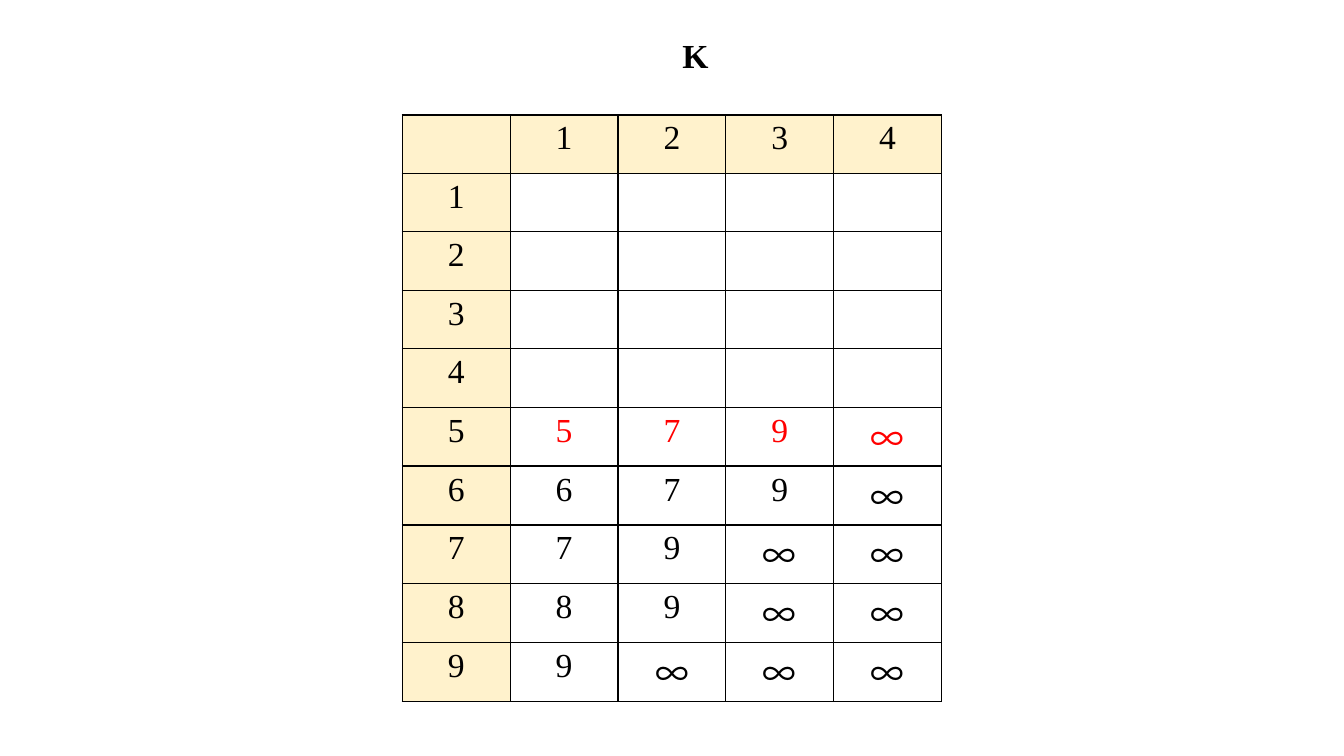
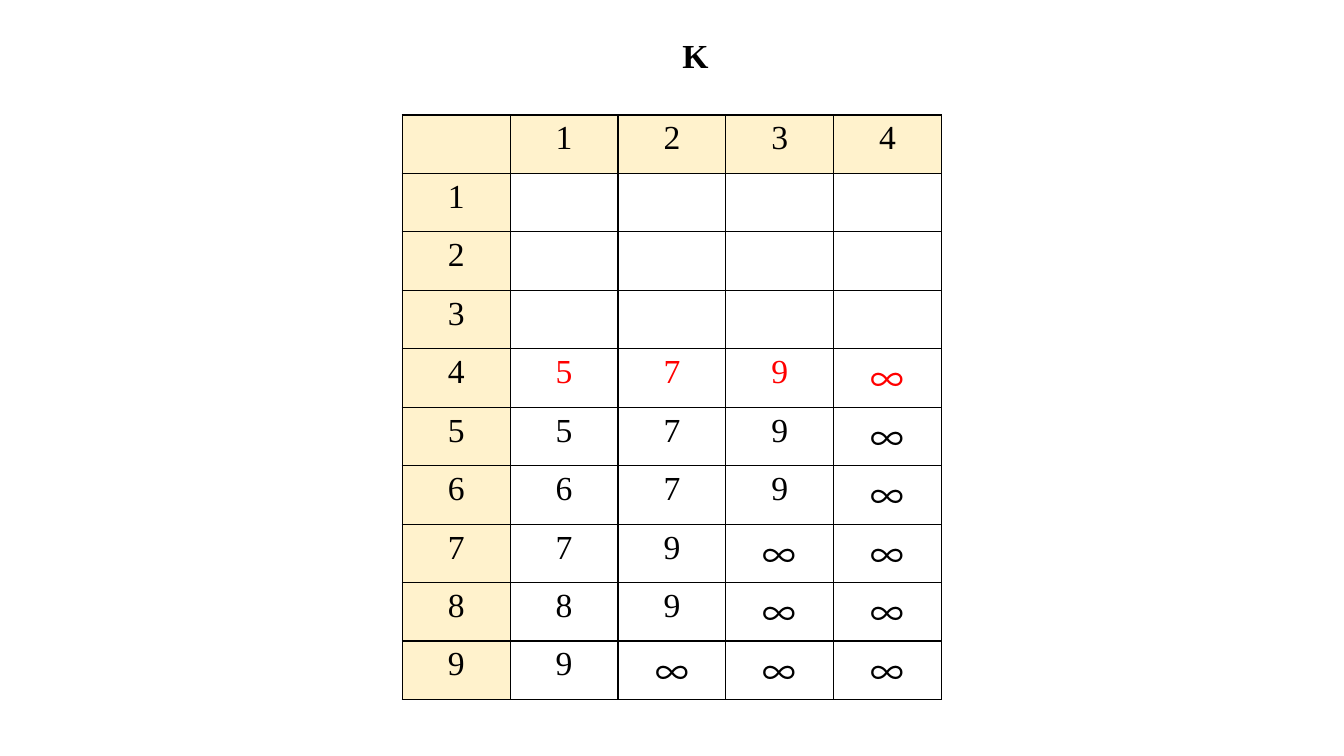
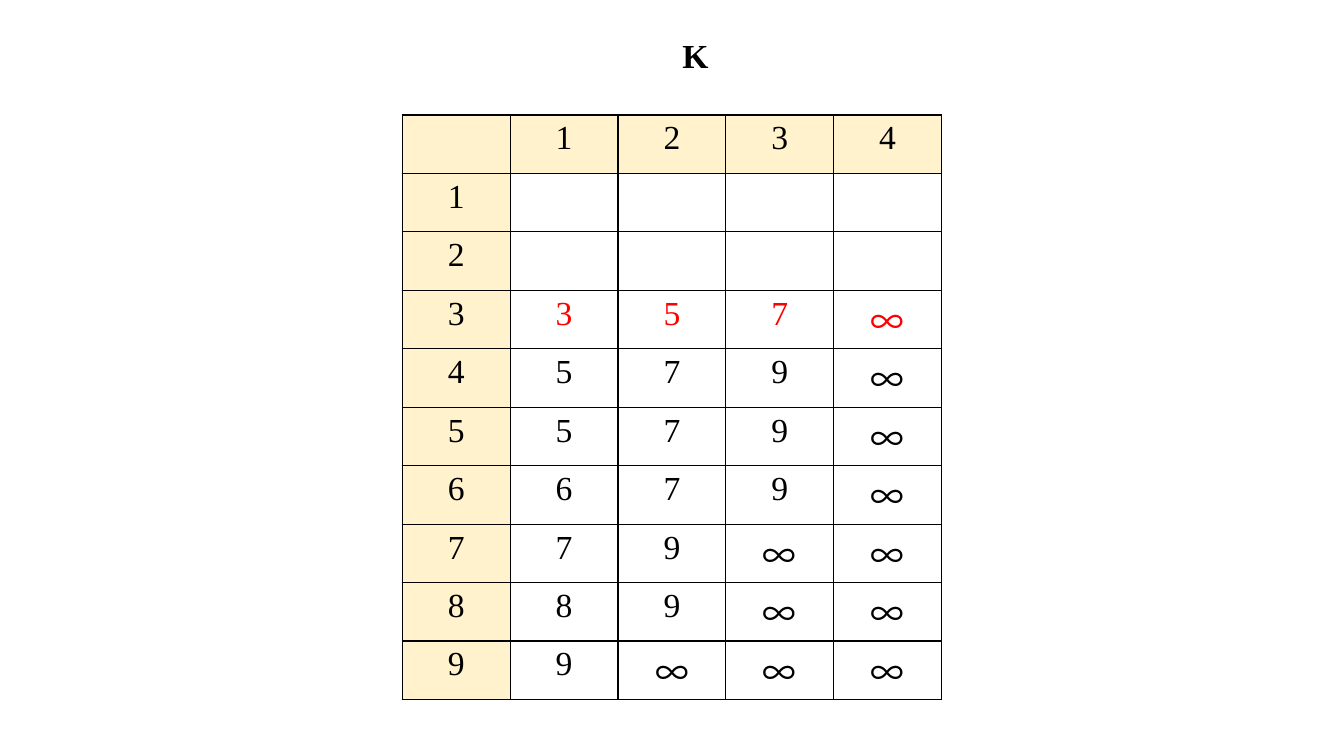
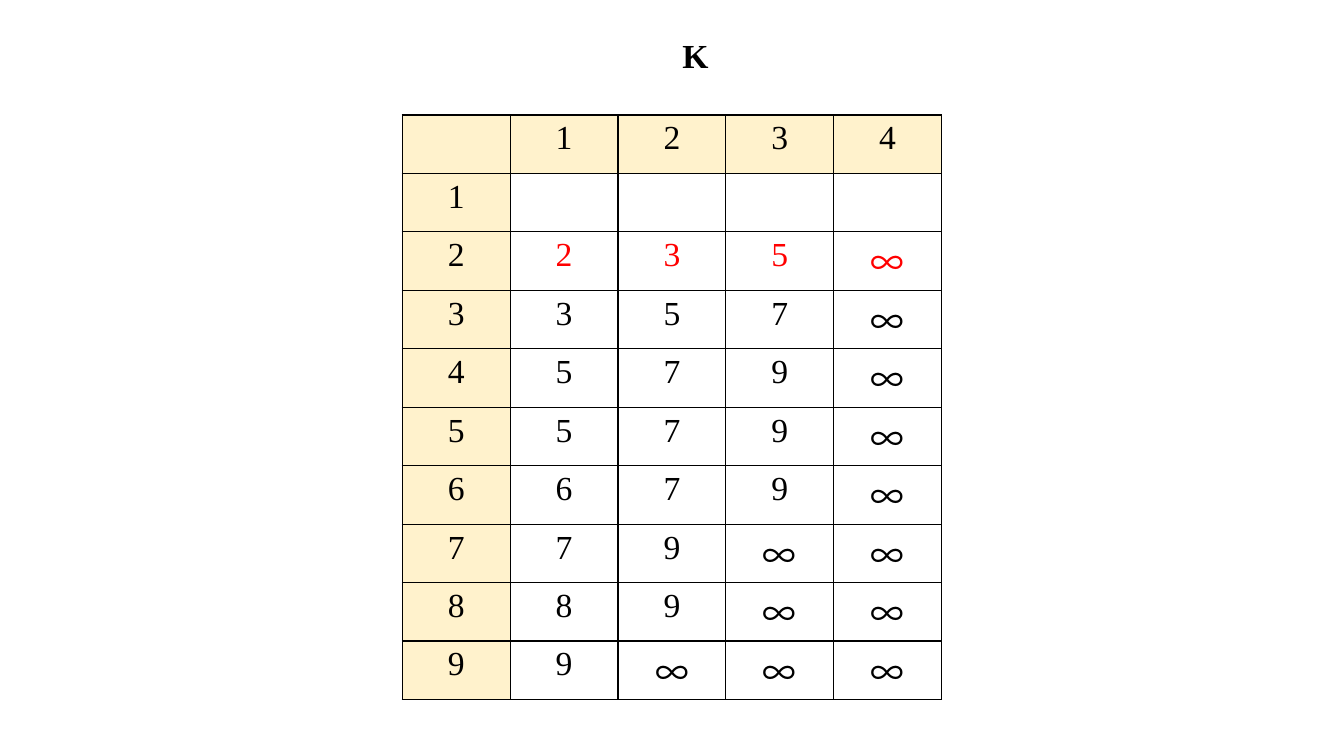
from lxml import etree
from pptx import Presentation
from pptx.dml.color import RGBColor
from pptx.enum import text
from pptx.oxml import ns
from pptx.util import Inches, Pt

# Shared style
BLACK, RED, CREAM = "000000", "FF0000", "FFF2CC"
SERIF, SYMBOL = "Times New Roman", "Noto Sans CJK SC"
COL_W, ROW_H = 1.07, 0.58

# Values of K by row, for columns 1 to 4
HEADER = ["", "1", "2", "3", "4"]
K_ROWS = {
    2: "235∞",
    3: "357∞",
    4: "579∞",
    5: "579∞",
    6: "679∞",
    7: "79∞∞",
    8: "89∞∞",
    9: "9∞∞∞",
}


def rgb(value):
    return RGBColor.from_string(value)


def add_run(p, label, color=BLACK, bold=False):
    r = p.add_run()
    r.text = label
    font = r.font
    font.size, font.bold = Pt(24), bold
    font.color.rgb = rgb(color)
    font.name = SYMBOL if label == "∞" else SERIF
    ea = etree.SubElement(r._r.get_or_add_rPr(), ns.qn("a:ea"))
    ea.set("typeface", font.name)


prs = Presentation()
prs.slide_width, prs.slide_height = Inches(13.33), Inches(7.5)

# Each slide fills one more row, going up, with the newest row in red
for newest in (5, 4, 3, 2):
    s = prs.slides.add_slide(prs.slide_layouts[6])

    # Table contents
    grid = [HEADER]
    for number in range(1, 10):
        values = list(K_ROWS[number]) if number >= newest else [""] * 4
        grid.append([str(number)] + values)

    # Table frame
    n_rows, n_cols = len(grid), len(HEADER)
    table = s.shapes.add_table(
        n_rows, n_cols, Inches(3.99), Inches(1.14),
        Inches(n_cols * COL_W), Inches(n_rows * ROW_H)).table
    table.first_row = table.horz_banding = False
    for column in table.columns:
        column.width = Inches(COL_W)
    for row in table.rows:
        row.height = Inches(ROW_H)

    # Cells: borders, fill, text
    for i, labels in enumerate(grid):
        for j, label in enumerate(labels):
            cell = table.cell(i, j)
            tcPr = cell._tc.get_or_add_tcPr()
            for side in ("lnL", "lnR", "lnT", "lnB"):
                ln = etree.SubElement(tcPr, ns.qn("a:" + side), w=str(Pt(1)))
                line_fill = etree.SubElement(ln, ns.qn("a:solidFill"))
                etree.SubElement(line_fill, ns.qn("a:srgbClr"), val=BLACK)
            if i == 0 or j == 0:
                cell.fill.solid()
                cell.fill.fore_color.rgb = rgb(CREAM)
            else:
                cell.fill.background()
            if label:
                p = cell.text_frame.paragraphs[0]
                p.alignment = text.PP_ALIGN.CENTER
                add_run(p, label, RED if i == newest and j > 0 else BLACK)

    # Title
    tf = s.shapes.add_textbox(
        Inches(6.67), Inches(0.3), Inches(0.46), Inches(0.5)).text_frame
    tf.word_wrap = False
    tf.auto_size = text.MSO_AUTO_SIZE.SHAPE_TO_FIT_TEXT
    add_run(tf.paragraphs[0], "K", bold=True)

prs.save("out.pptx")
